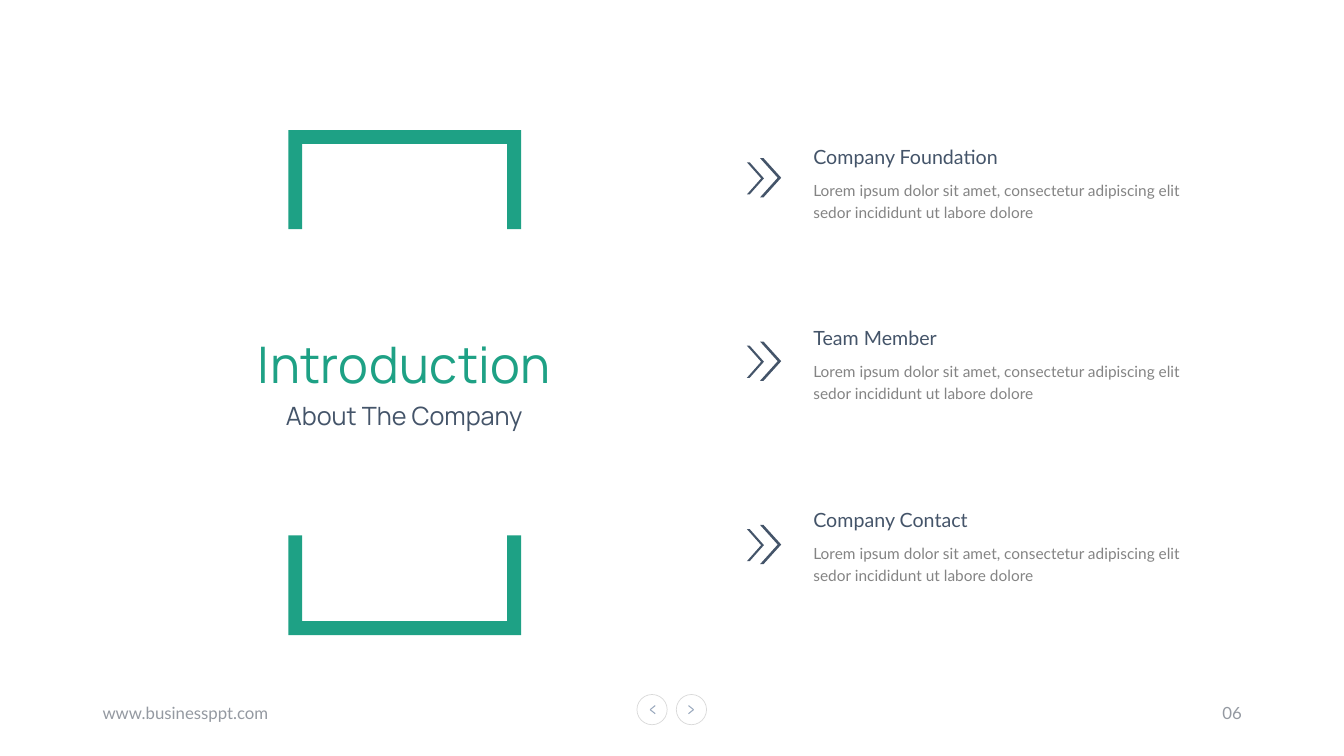
from dataclasses import dataclass

from pptx import Presentation
from pptx.dml.color import RGBColor
from pptx.enum.shapes import MSO_CONNECTOR, MSO_SHAPE
from pptx.enum.text import MSO_ANCHOR, MSO_AUTO_SIZE, PP_ALIGN
from pptx.oxml.ns import qn
from pptx.shapes.autoshape import Shape
from pptx.slide import Slide
from pptx.util import Pt
from lxml import etree

GREEN = RGBColor(0x1E, 0xA1, 0x85)
NAVY = RGBColor(0x44, 0x54, 0x69)
GREY = RGBColor(0x84, 0x84, 0x84)
MUTED = RGBColor(0x94, 0x99, 0xA1)
RING = RGBColor(0xD9, 0xD9, 0xD9)
STEEL = RGBColor(0x99, 0xA8, 0xBD)

LEFT, CENTER, RIGHT = PP_ALIGN.LEFT, PP_ALIGN.CENTER, PP_ALIGN.RIGHT
TOP, MIDDLE = MSO_ANCHOR.TOP, MSO_ANCHOR.MIDDLE
GROW, FIXED = MSO_AUTO_SIZE.SHAPE_TO_FIT_TEXT, MSO_AUTO_SIZE.NONE
CHEVRON, OVAL = MSO_SHAPE.CHEVRON, MSO_SHAPE.OVAL
STRAIGHT = MSO_CONNECTOR.STRAIGHT


@dataclass(frozen=True)
class Box:
    x: float
    y: float
    w: float
    h: float


@dataclass(frozen=True)
class Style:
    font: str
    size: float
    color: RGBColor
    align: PP_ALIGN = LEFT
    anchor: MSO_ANCHOR = TOP
    wrap: bool = True
    grow: bool = True
    space: float = 1.0
    track: int = 0


@dataclass(frozen=True)
class Topic:
    name: str
    y: float


@dataclass(frozen=True)
class Button:
    x: float
    tip: float
    back: float


BLURB = ("Lorem ipsum dolor sit amet, consectetur adipiscing elit "
         "sedor incididunt ut labore dolore")
TOPICS = [Topic("Company Foundation", 97.9), Topic("Team Member", 226.9),
          Topic("Company Contact", 357.1)]
STEP = 131
MARKS = [Box(542.9, 113, 15.1, 28), Box(533.5, 115.9, 12.2, 23)]
BUTTONS = [Button(455, 464.4, 468), Button(483.1, 495.4, 491.8)]

TITLE = Style("Manrope", 36, GREEN, CENTER, wrap=False, track=30)
SUB = Style("Manrope", 18, NAVY, CENTER, wrap=False)
HEAD = Style("Lato", 14, NAVY, space=1.14)
BODY = Style("Lato", 11, GREY, space=1.2)
SITE = Style("Lato", 12, MUTED, anchor=MIDDLE, grow=False)
PAGE = Style("Lato", 12, MUTED, RIGHT, MIDDLE, grow=False)


def fill_text(shape: Shape, text: str, style: Style) -> None:
    frame = shape.text_frame
    frame.word_wrap = style.wrap
    frame.auto_size = GROW if style.grow else FIXED
    frame.vertical_anchor = style.anchor
    para = frame.paragraphs[0]
    para.alignment = style.align
    para.line_spacing = style.space
    run = para.add_run()
    run.text = text
    run.font.name = style.font
    run.font.size = Pt(style.size)
    run.font.color.rgb = style.color
    if style.track:
        run.font._element.set("spc", str(style.track))


def add_text(slide: Slide, box: Box, text: str, style: Style) -> None:
    shape = slide.shapes.add_textbox(Pt(box.x), Pt(box.y), Pt(box.w), Pt(box.h))
    fill_text(shape, text, style)


def add_title(slide: Slide, box: Box, text: str) -> None:
    title = slide.shapes.title
    title.left, title.top = Pt(box.x), Pt(box.y)
    title.width, title.height = Pt(box.w), Pt(box.h)
    fill_text(title, text, TITLE)


def add_button(slide: Slide, button: Button) -> None:
    y, size, rise = 496.1, 21.6, 2.9
    ring = slide.shapes.add_shape(OVAL, Pt(button.x), Pt(y), Pt(size), Pt(size))
    ring.shadow.inherit = False
    ring.fill.background()
    ring.line.color.rgb = RING
    ring.line.width = Pt(0.5)
    mid = y + size / 2
    for end in (mid - rise, mid + rise):
        line = slide.shapes.add_connector(
            STRAIGHT, Pt(button.tip), Pt(mid), Pt(button.back), Pt(end))
        line.line.color.rgb = STEEL
        line.line.width = Pt(0.75)
        etree.SubElement(line._element.spPr, qn("a:effectLst"))


def add_frame(slide: Slide) -> None:
    left, right, thick = 205.9, 372.2, 9.9
    # Each bracket: outer edge, inner edge, open end
    halves = [(92.9, 92.9 + thick, 163.7), (453.6, 453.6 - thick, 382.5)]
    paths = []
    for outer, inner, tip in halves:
        points = [(left, outer), (right, outer), (right, tip),
                  (right - thick, tip), (right - thick, inner),
                  (left + thick, inner), (left + thick, tip), (left, tip)]
        paths.append([(Pt(x), Pt(y)) for x, y in points])
    pen = slide.shapes.build_freeform(*paths[0][0])
    pen.add_line_segments(paths[0][1:])
    pen.move_to(*paths[1][0])
    pen.add_line_segments(paths[1][1:])
    paint(pen.convert_to_shape(), GREEN)


def paint(shape: Shape, color: RGBColor) -> None:
    shape.shadow.inherit = False
    shape.fill.solid()
    shape.fill.fore_color.rgb = color
    shape.line.fill.background()


def add_topic(slide: Slide, topic: Topic, row: int) -> None:
    x = 573.9
    add_text(slide, Box(x, topic.y, 227.5, 24.5), topic.name, HEAD)
    add_text(slide, Box(x, topic.y + 25.4, 277.2, 39.6), BLURB, BODY)
    for box in MARKS:
        mark = slide.shapes.add_shape(
            CHEVRON, Pt(box.x), Pt(box.y + row * STEP), Pt(box.w), Pt(box.h))
        mark.adjustments[0] = 0.836
        paint(mark, NAVY)


def main() -> None:
    deck = Presentation()
    deck.slide_width, deck.slide_height = Pt(960), Pt(540)
    slide = deck.slides.add_slide(deck.slide_layouts.get_by_name("Title Only"))

    # Navigation buttons
    for button in BUTTONS:
        add_button(slide, button)

    # Brackets around the title
    add_frame(slide)
    add_title(slide, Box(174.2, 234, 229.7, 51.1), "Introduction")
    add_text(slide, Box(193, 282.2, 191.5, 28.8), "About The Company", SUB)

    # Topics
    for row, topic in enumerate(TOPICS):
        add_topic(slide, topic, row)

    # Footer
    add_text(slide, Box(66.2, 494.6, 324, 28.8), "www.businessppt.com", SITE)
    add_text(slide, Box(678.2, 494.6, 216, 28.8), "06", PAGE)

    deck.save("out.pptx")


if __name__ == "__main__":
    main()
